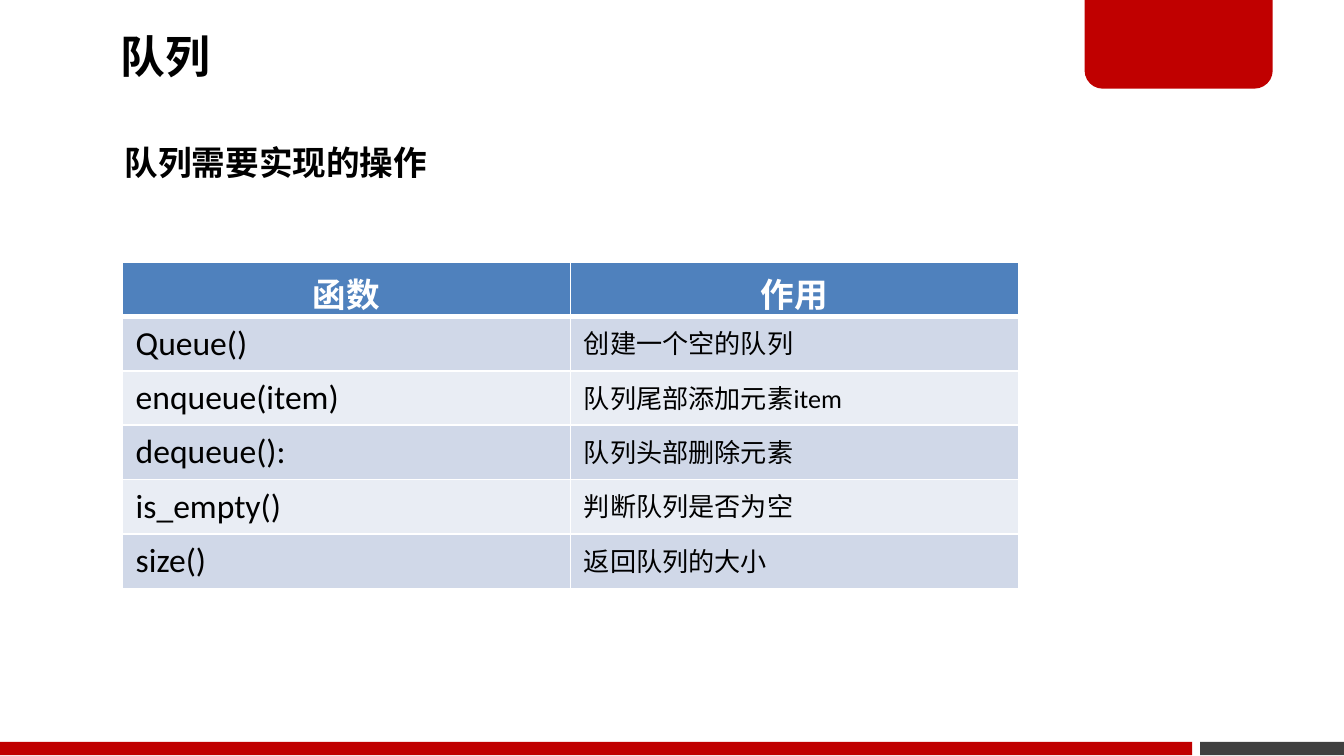
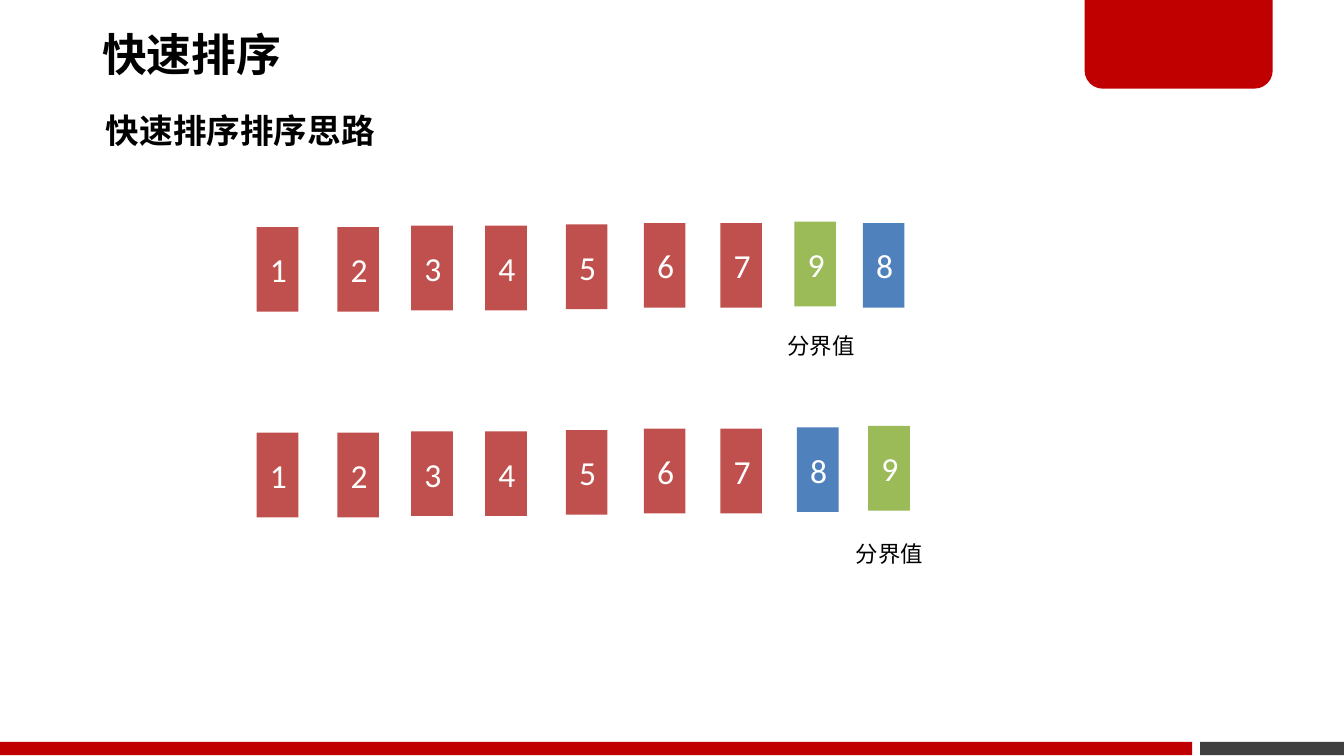
from dataclasses import dataclass

from lxml import etree
from pptx import Presentation
from pptx.dml.color import RGBColor
from pptx.enum.shapes import MSO_SHAPE
from pptx.enum.text import MSO_ANCHOR, MSO_AUTO_SIZE, PP_ALIGN
from pptx.oxml.ns import qn
from pptx.util import Inches, Pt

RECT, TAB = MSO_SHAPE.RECTANGLE, MSO_SHAPE.ROUND_2_SAME_RECTANGLE
MIDDLE, CENTER, LEFT = MSO_ANCHOR.MIDDLE, PP_ALIGN.CENTER, PP_ALIGN.LEFT
GROW, FIXED = MSO_AUTO_SIZE.SHAPE_TO_FIT_TEXT, MSO_AUTO_SIZE.NONE


@dataclass(frozen=True)
class Theme:
    black: str = "000000"
    white: str = "FFFFFF"
    brand: str = "C00000"
    gray: str = "404040"
    blue: str = "4F81BD"
    red: str = "C0504D"
    green: str = "9BBB59"
    bands: tuple = ("E9EDF4", "D0D8E8")
    latin: str = "Calibri"
    hans: str = "Noto Sans CJK SC"
    title: int = 24
    head: int = 18
    body: int = 14
    note: int = 12


T = Theme()

# Content: queue slide
QUEUE = {"title": "队列", "at": (0.83, -0.01),
         "sub": "队列需要实现的操作", "sub_at": (0.83, 1.01, 2.47, 0.4)}
OPS = [
    ("函数", "作用"),
    ("Queue()", "创建一个空的队列"),
    ("enqueue(item)", "队列尾部添加元素item"),
    ("dequeue():", "队列头部删除元素"),
    ("is_empty()", "判断队列是否为空"),
    ("size()", "返回队列的大小"),
]
GRID = (0.91, 1.95, 6.67, 2.43)

# Content: sorting slide, with each tile as value, left, top within its row
SORT = {"title": "快速排序", "at": (0.69, -0.02),
        "sub": "快速排序排序思路", "sub_at": (0.69, 0.77, 2.23, 0.4)}
DONE = [(1, 1.91, 0.04), (2, 2.51, 0.04), (3, 3.06, 0.03), (4, 3.61, 0.03),
        (5, 4.21, 0.02), (6, 4.79, 0.01), (7, 5.36, 0.01)]
STEPS = [
    {"top": 1.65, "tail": [(9, 5.91, 0), (8, 6.42, 0.01)], "note": (5.76, 2.42)},
    {"top": 3.18, "tail": [(8, 5.93, 0), (9, 6.46, -0.01)], "note": (6.27, 3.97)},
]
PIVOT = "分界值"
TILE = (0.31, 0.63)
TINTS = {8: T.blue, 9: T.green}


def style(par, size, color, bold=False, font=T.latin, align=LEFT):
    par.alignment = align
    for run in par.runs:
        run.font.size, run.font.bold = Pt(size), bold
        run.font.name = font
        run.font.color.rgb = RGBColor.from_string(color)
        ea = etree.SubElement(run.font._element, qn("a:ea"))
        ea.set("typeface", T.hans)


def block(slide, kind, box, color):
    shape = slide.shapes.add_shape(kind, *map(Inches, box))
    shape.shadow.inherit = False
    shape.fill.solid()
    shape.fill.fore_color.rgb = RGBColor.from_string(color)
    shape.line.fill.background()
    return shape


def label(slide, text, box, size, bold=False):
    shape = slide.shapes.add_textbox(*map(Inches, box))
    frame = shape.text_frame
    frame.text = text
    frame.word_wrap, frame.auto_size = False, GROW
    style(frame.paragraphs[0], size, T.black, bold, T.hans)
    return frame


def start(deck, info):
    """Add a slide with its shared bands, title and subtitle."""
    slide = deck.slides.add_slide(deck.slide_layouts[6])
    block(slide, RECT, (8.93, 5.52, 1.07, 0.1), T.gray)
    tab = block(slide, TAB, (8.07, -0.02, 1.4, 0.68), T.brand)
    tab.adjustments[0], tab.adjustments[1] = 0, 0.2
    block(slide, RECT, (0, 5.52, 8.87, 0.1), T.brand)

    frame = label(slide, info["title"], (*info["at"], 5.89, 0.89), T.title, True)
    frame.word_wrap, frame.auto_size = True, FIXED
    frame.vertical_anchor = MIDDLE
    frame.margin_left = frame.margin_right = Inches(0.07)
    frame.margin_top = frame.margin_bottom = Inches(0.04)
    frame.paragraphs[0].line_spacing = 0.9
    label(slide, info["sub"], info["sub_at"], T.head, True)
    return slide


def edge(cell, side, width):
    line = etree.SubElement(cell._tc.get_or_add_tcPr(), qn("a:ln" + side))
    line.set("w", str(Pt(width)))
    fill = etree.SubElement(line, qn("a:solidFill"))
    etree.SubElement(fill, qn("a:srgbClr")).set("val", T.white)


def ops_table(slide):
    # Columns and rows share the box evenly
    table = slide.shapes.add_table(
        len(OPS), len(OPS[0]), *map(Inches, GRID)).table
    for r, texts in enumerate(OPS):
        top = r == 0
        for c, text in enumerate(texts):
            cell = table.cell(r, c)
            cell.text_frame.text = text
            style(cell.text_frame.paragraphs[0],
                  T.head if top or c == 0 else T.body,
                  T.white if top else T.black, top,
                  align=CENTER if top else LEFT)
            # The rule under the header is thicker
            for side in "LRTB":
                edge(cell, side, 3 if (r, side) in ((0, "B"), (1, "T")) else 1)
            cell.fill.solid()
            tint = T.blue if top else T.bands[r % 2]
            cell.fill.fore_color.rgb = RGBColor.from_string(tint)


def tile_row(slide, step):
    for value, left, drop in DONE + step["tail"]:
        box = (left, step["top"] + drop, *TILE)
        tile = block(slide, RECT, box, TINTS.get(value, T.red))
        frame = tile.text_frame
        frame.text = str(value)
        frame.vertical_anchor = MIDDLE
        style(frame.paragraphs[0], T.head, T.white, align=CENTER)
    label(slide, PIVOT, (*step["note"], 0.71, 0.3), T.note)


def main():
    deck = Presentation()
    # Widescreen, 16:9
    deck.slide_width = Inches(10)
    deck.slide_height = deck.slide_width * 9 // 16
    ops_table(start(deck, QUEUE))
    slide = start(deck, SORT)
    for step in STEPS:
        tile_row(slide, step)
    deck.save("out.pptx")


if __name__ == "__main__":
    main()
